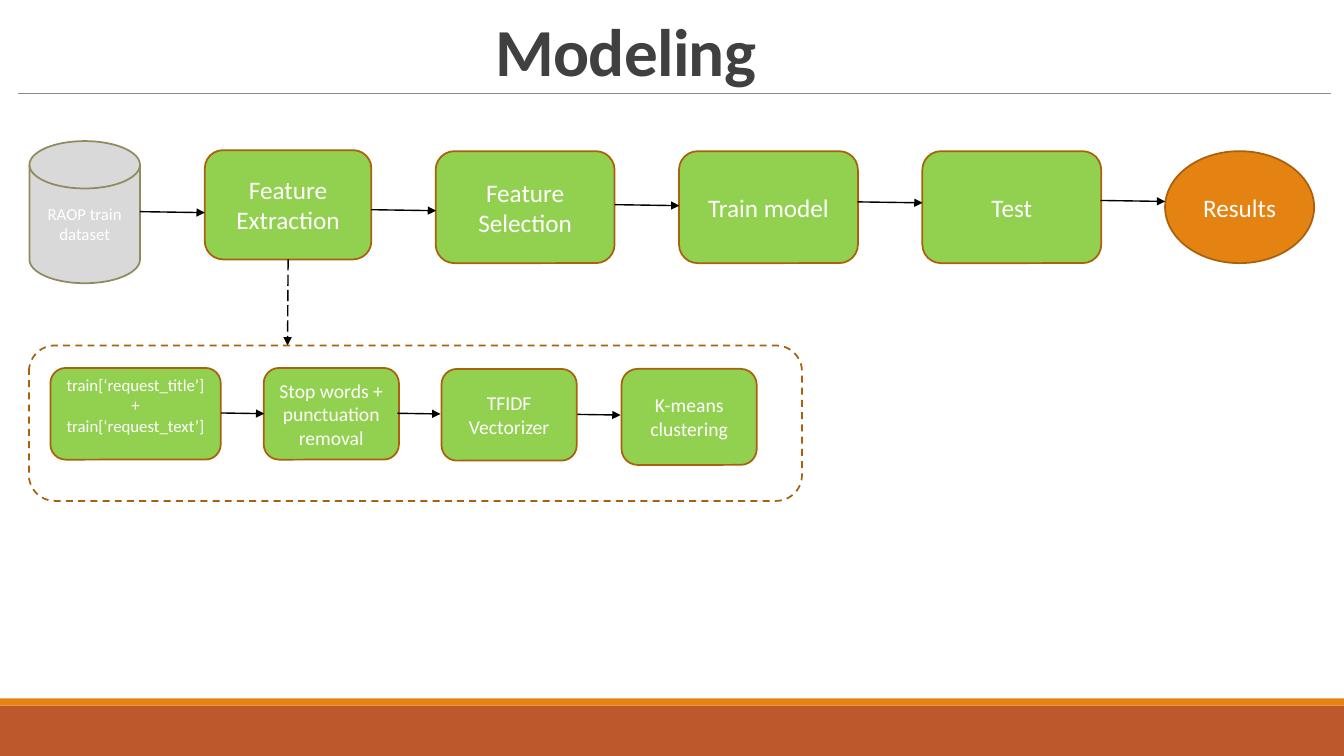
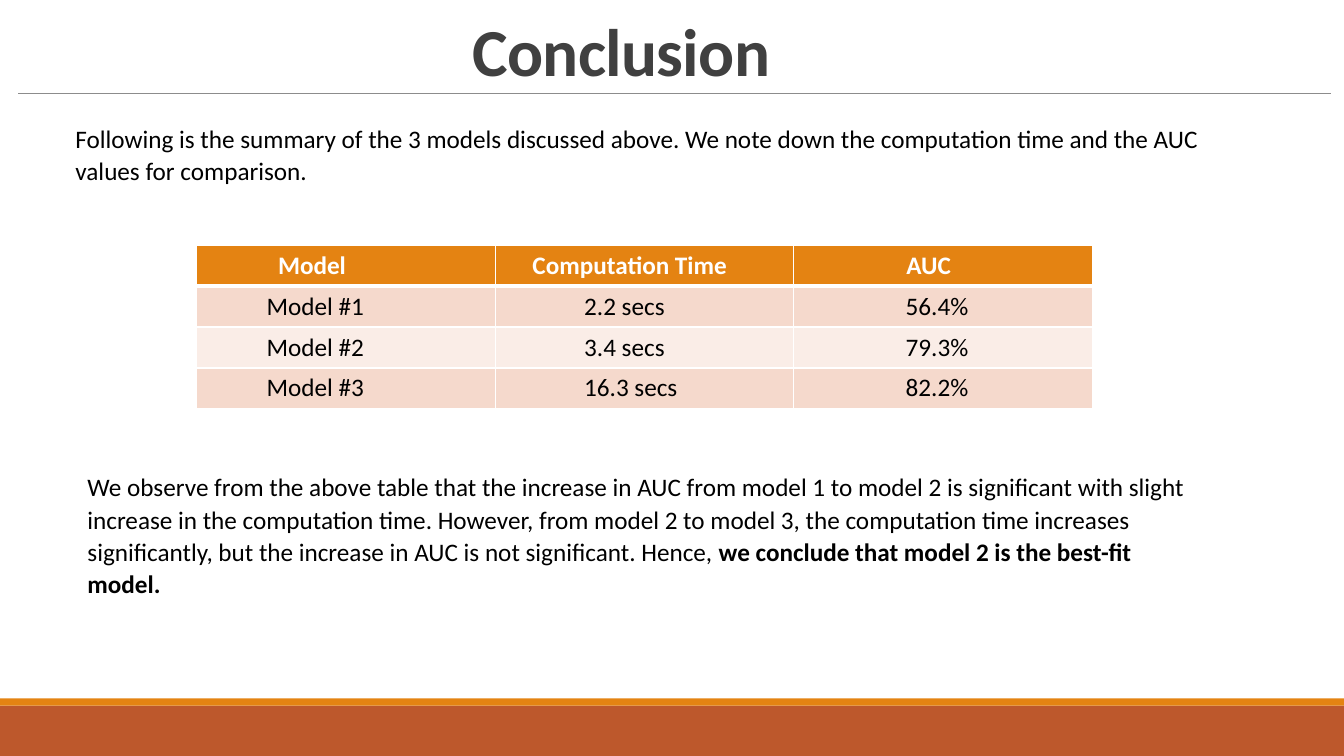
from dataclasses import dataclass

import pptx
import pptx.dml.color
import pptx.enum.dml
import pptx.enum.shapes
import pptx.enum.text
import pptx.oxml
import pptx.oxml.ns
import pptx.util

Pt = pptx.util.Pt
RGB = pptx.dml.color.RGBColor.from_string
qn = pptx.oxml.ns.qn
SHAPE = pptx.enum.shapes.MSO_SHAPE
DASH = pptx.enum.dml.MSO_LINE
ALIGN = pptx.enum.text.PP_ALIGN
ANCHOR = pptx.enum.text.MSO_ANCHOR


@dataclass(frozen=True)
class Theme:
    font: str = "Calibri"
    # Colours
    brown: str = "BD582C"
    orange: str = "E48312"
    outline: str = "A9610D"
    green: str = "92D050"
    grey: str = "D9D9D9"
    olive: str = "908B5F"
    rule: str = "8C8C8C"
    heading: str = "404040"
    black: str = "000000"
    white: str = "FFFFFF"
    rows: tuple = ("F5D9CC", "FAEDE7")
    # Type sizes
    title: int = 48
    body: int = 18
    step: int = 14
    small: int = 12


T = Theme()
WIDTH, HEIGHT = 960, 540


# Formatting helpers
def apply(obj, values):
    for name, value in values.items():
        setattr(obj, name, value)


def add_run(p, text, size, color, bold=False):
    r = p.add_run()
    r.text = text
    apply(r.font, {"name": T.font, "size": Pt(size), "bold": bold})
    r.font.color.rgb = RGB(color)
    return r


def set_fill(obj, color):
    if color:
        obj.fill.solid()
        obj.fill.fore_color.rgb = RGB(color)
    else:
        obj.fill.background()


def set_line(line, color, width, dash=None):
    line.color.rgb = RGB(color)
    apply(line, {"width": Pt(width), "dash_style": dash})


# Element builders
def add_shape(s, kind, box, fill, outline=None, dash=None):
    sp = s.shapes.add_shape(kind, *map(Pt, box))
    sp.shadow.inherit = False
    set_fill(sp, fill)
    if outline:
        set_line(sp.line, outline, 1.25, dash)
    else:
        sp.line.fill.background()
    return sp


def add_node(s, text, box, size=T.body, kind=SHAPE.ROUNDED_RECTANGLE,
             fill=T.green, outline=T.outline):
    sp = add_shape(s, kind, box, fill, outline)
    tf = sp.text_frame
    apply(tf, {"word_wrap": True, "vertical_anchor": ANCHOR.MIDDLE})
    p = tf.paragraphs[0]
    p.alignment = ALIGN.CENTER
    add_run(p, text, size, T.white)
    return sp


def add_line(s, start, end, color=T.black, width=1, dash=None, arrow=True):
    cx = s.shapes.add_connector(pptx.enum.shapes.MSO_CONNECTOR.STRAIGHT,
                                *map(Pt, (*start, *end)))
    set_line(cx.line, color, width, dash)
    props = cx.element.spPr
    if arrow:
        tail = pptx.oxml.parse_xml(
            f'<a:tailEnd {pptx.oxml.ns.nsdecls("a")} type="triangle"/>')
        props.find(qn("a:ln")).append(tail)
    props.append(pptx.oxml.parse_xml(
        f'<a:effectLst {pptx.oxml.ns.nsdecls("a")}/>'))


def add_arrows(s, starts, run, drop):
    for x, y in starts:
        add_line(s, (x, y), (x + run, y + drop))


def add_text(s, box, runs):
    tf = s.shapes.add_textbox(*map(Pt, box)).text_frame
    tf.word_wrap = True
    p = tf.paragraphs[0]
    p.line_spacing = 1.07
    for text, bold in runs:
        add_run(p, text, T.body, T.black, bold)


def add_borders(cell, bottom):
    props = cell._tc.get_or_add_tcPr()
    for side, width in (("L", 1), ("R", 1), ("T", 1), ("B", bottom)):
        props.append(pptx.oxml.parse_xml(
            f'<a:ln{side} {pptx.oxml.ns.nsdecls("a")} w="{Pt(width)}">'
            f'<a:solidFill><a:srgbClr val="{T.white}"/></a:solidFill>'
            f'</a:ln{side}>'))


def add_table(s, box, rows, head_indents, body_indents):
    table = s.shapes.add_table(len(rows), len(rows[0]), *map(Pt, box)).table
    for i, row in enumerate(rows):
        head = i == 0
        indents = head_indents if head else body_indents
        for j, text in enumerate(row):
            cell = table.cell(i, j)
            add_borders(cell, 3 if head else 1)
            set_fill(cell, T.orange if head else T.rows[(i - 1) % 2])
            cell.margin_left = Pt(indents[j])
            add_run(cell.text_frame.paragraphs[0], text, T.body,
                    T.white if head else T.black, head)


# Shared slide: bands, title and rule
def add_slide(prs, title, left, width):
    s = prs.slides.add_slide(prs.slide_layouts[5])
    add_shape(s, SHAPE.RECTANGLE, (0, 504, WIDTH, 36), T.brown)
    add_shape(s, SHAPE.RECTANGLE, (0, 498.8, WIDTH, 5.2), T.orange)

    sp = s.shapes.title
    apply(sp, {"left": Pt(left), "top": Pt(10.8),
               "width": Pt(width), "height": Pt(57.6)})
    tf = sp.text_frame
    apply(tf, {"word_wrap": True, "vertical_anchor": ANCHOR.BOTTOM,
               "auto_size": pptx.enum.text.MSO_AUTO_SIZE.NONE})
    p = tf.paragraphs[0]
    apply(p, {"alignment": ALIGN.CENTER, "line_spacing": 0.85})
    r = add_run(p, title, T.title, T.heading, True)
    r._r.get_or_add_rPr().set("spc", "-50")

    add_line(s, (13, 67), (951, 67), T.rule, 0.75, arrow=False)
    return s


def build_modeling(prs):
    s = add_slide(prs, "Modeling", 111, 672)

    # Main pipeline
    add_node(s, "RAOP train dataset", (21, 100.8, 79, 101.5), T.small,
             SHAPE.FLOWCHART_MAGNETIC_DISK, T.grey, T.olive)
    add_node(s, "Feature Extraction", (146.3, 107.3, 119, 78))
    for i, text in enumerate(("Feature Selection", "Train model", "Test")):
        add_node(s, text, (311.2 + 173.8 * i, 108, 127.8, 80))
    add_node(s, "Results", (832.2, 108, 106.5, 80), kind=SHAPE.OVAL,
             fill=T.orange)
    add_arrows(s, ((100, 151.2), (265.2, 149.8), (439, 146.2),
                   (612.7, 144.2), (786, 143.2)), 46.3, 0.7)

    # Feature extraction detail
    add_line(s, (205.8, 185.3), (205.4, 246.8), dash=DASH.LONG_DASH)
    add_shape(s, SHAPE.ROUNDED_RECTANGLE, (20.7, 246.8, 552.2, 111), None,
              T.outline, DASH.DASH)
    request = add_node(s, "train[‘request_title’]+ train[‘request_text’]",
                       (36, 262.8, 121.7, 65.5), T.small)
    request.text_frame.margin_bottom = Pt(15.8)
    for text, x, y, h in (
            ("Stop words + punctuation removal", 188.4, 262.8, 65.5),
            ("TFIDF Vectorizer", 315.4, 263.5, 65.5),
            ("K-means clustering", 444, 263.5, 68.6)):
        add_node(s, text, (x, y, 96.6, h), T.step)
    add_arrows(s, ((158, 295), (283.8, 295.2), (412.5, 296)), 30.8, 0.5)


def build_conclusion(prs):
    s = add_slide(prs, "Conclusion", 144.7, 598.3)
    add_text(s, (46.8, 82.8, 865.4, 52.6), [
        ("Following is the summary of the 3 models discussed above. We note "
         "down the computation time and the AUC values for comparison.", False)])
    add_table(s, (140.4, 175.2, 639.9, 116.8), [
        ("Model", "Computation Time", "AUC"),
        ("Model #1", "2.2 secs", "56.4%"),
        ("Model #2", "3.4 secs", "79.3%"),
        ("Model #3", "16.3 secs", "82.2%"),
    ], (58.2, 26.7, 80.4), (50, 63.6, 80))
    add_text(s, (55.4, 331.9, 809.3, 99.4), [
        ("We observe from the above table that the increase in AUC from model "
         "1 to model 2 is significant with slight increase in the computation "
         "time. However, from model 2 to model 3, the computation time "
         "increases significantly, but the increase in AUC is not "
         "significant. Hence, ", False),
        ("we conclude that model 2 is the best-fit model.", True)])


def main():
    prs = pptx.Presentation()
    apply(prs, {"slide_width": Pt(WIDTH), "slide_height": Pt(HEIGHT)})
    build_modeling(prs)
    build_conclusion(prs)
    prs.save("out.pptx")


if __name__ == "__main__":
    main()
